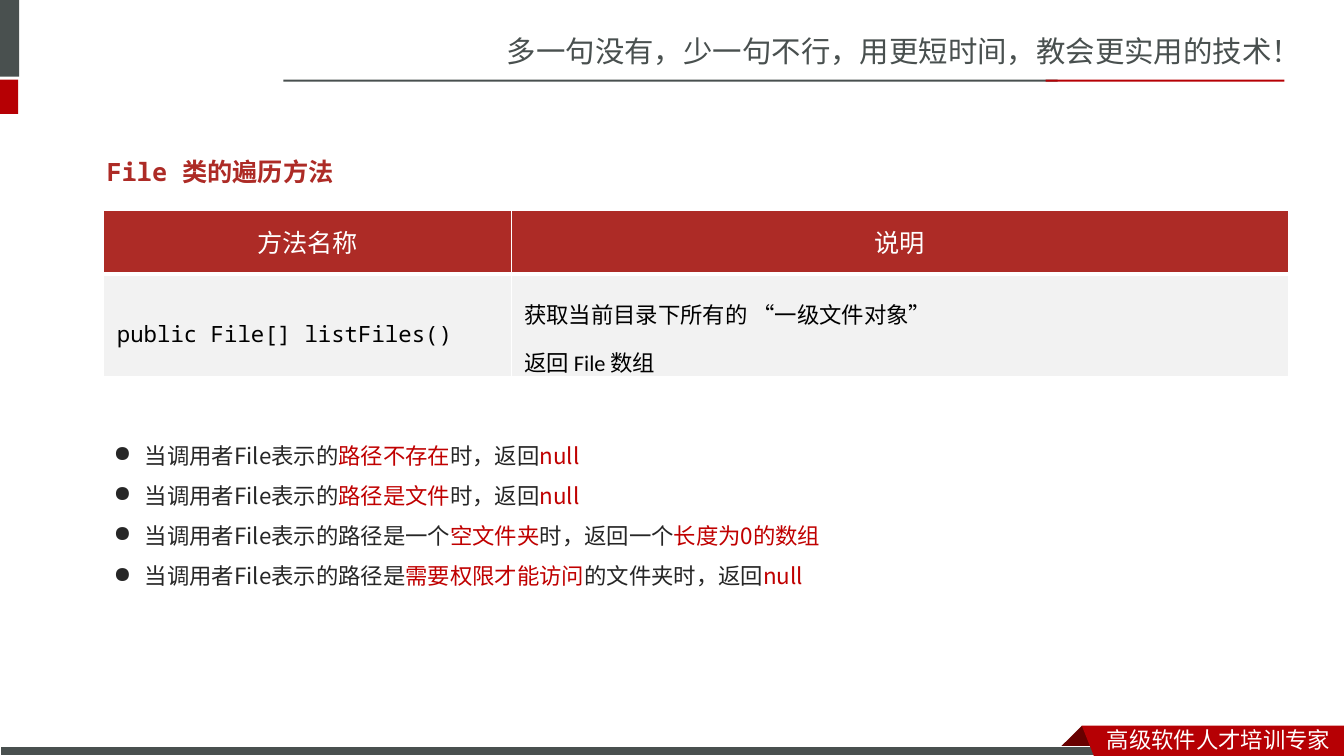
from lxml import etree
from pptx import Presentation
from pptx import util as u
from pptx.dml.color import RGBColor
from pptx.enum import shapes, text
from pptx.oxml import ns

COLORS = {"slate": "49504F", "red": "B60004", "fold": "680000", "brick": "AD2B26",
          "row": "F2F2F2", "white": "FFFFFF", "black": "000000",
          "body": "262626", "accent": "C00000"}
SANS = "Noto Sans CJK SC"
LIST_FONT = "Noto Sans CJK JP"
MONO = "Noto Sans Mono"


def color(name):
    return RGBColor.from_string(COLORS[name])


def set_attributes(target, values):
    for name, value in values.items():
        setattr(target, name, value)


def add_run(paragraph, words, size, fill, latin, east_asian=SANS, bold=False):
    run = paragraph.add_run()
    run.text = words
    set_attributes(run.font, {"size": u.Pt(size), "name": latin, "bold": bold})
    run.font.color.rgb = color(fill)
    properties = run.font._element
    etree.SubElement(properties, ns.qn("a:ea")).set("typeface", east_asian)


def add_text_frame(slide, box):
    frame = slide.shapes.add_textbox(*map(u.Inches, box)).text_frame
    frame.word_wrap = True
    return frame


def paint(shape, fill, outline=None):
    shape.shadow.inherit = False
    shape.fill.solid()
    shape.fill.fore_color.rgb = color(fill)
    if outline:
        shape.line.color.rgb = color(outline)
        shape.line.width = u.Pt(0.75)
    else:
        shape.line.fill.background()


def add_bar(slide, box, fill, outline=None):
    bar = slide.shapes.add_shape(shapes.MSO_SHAPE.RECTANGLE, *map(u.Inches, box))
    paint(bar, fill, outline)


def add_polygon(slide, points, fill):
    start, *others = [(u.Inches(x), u.Inches(y)) for x, y in points]
    builder = slide.shapes.build_freeform(*start)
    builder.add_line_segments(others, close=True)
    paint(builder.convert_to_shape(), fill)


def add_header(slide, left, top, width):
    """Slogan above a two-coloured rule, with the tabs at the slide's edge."""
    frame = add_text_frame(slide, (left + 2.12, top - 0.51, width - 1.53, 0.47))
    add_run(frame.paragraphs[0], "多一句没有，少一句不行，用更短时间，教会更实用的技术！",
            21, "slate", SANS)
    add_bar(slide, (0, 0, 0.19, 0.76), "slate")
    add_bar(slide, (0, top, 0.18, 0.34), "red")
    add_bar(slide, (left, top, 7.68, 0.02), "slate")
    add_bar(slide, (left + width - 2.37, top, 2.37, 0.02), "red")


def add_footer(slide, left, top, right, bottom):
    """Folded ribbon over the bar along the bottom edge."""
    add_polygon(slide, [(left, top), (left + 0.22, top + 0.22), (left + 0.21, top + 0.23),
                        (left - 0.21, top + 0.23), (left - 0.22, top + 0.22)], "fold")
    add_bar(slide, (0, top + 0.21, 10.99, bottom - top - 0.21), "slate", "white")
    add_polygon(slide, [(left, top), (right, top), (right, bottom), (left + 0.12, bottom)], "red")
    frame = add_text_frame(slide, (left + 0.15, top - 0.05, right - left - 0.15, 0.35))
    add_run(frame.paragraphs[0], "高级软件人才培训专家", 16, "white", SANS)


def add_heading(slide, box):
    paragraph = add_text_frame(slide, box).paragraphs[0]
    paragraph.line_spacing = 2.0
    add_run(paragraph, "File 类的遍历方法", 18, "brick", MONO, bold=True)


def add_cell_borders(cell, widths):
    """Give white borders, in points, in the order left, right, top, bottom."""
    properties = cell._tc.get_or_add_tcPr()
    for side, width in zip("LRTB", widths):
        border = etree.SubElement(properties, ns.qn(f"a:ln{side}"), w=str(u.Pt(width)))
        fill = etree.SubElement(border, ns.qn("a:solidFill"))
        etree.SubElement(fill, ns.qn("a:srgbClr"), val=COLORS["white"])


def add_method_table(slide, box):
    rows = [[["方法名称"], ["说明"]],
            [["public File[] listFiles()"],
             ["获取当前目录下所有的 “一级文件对象”", "返回 File 数组"]]]
    header = {"fill": "brick", "ink": "white", "size": 18, "spacing": u.Pt(24),
              "align": text.PP_ALIGN.CENTER, "margins": (0.1, 0.05),
              "borders": (1, 1, 1, 3), "fonts": ("Calibri", "Calibri")}
    body = {"fill": "row", "ink": "black", "size": 16, "spacing": 1.5,
            "align": text.PP_ALIGN.LEFT, "margins": (0.13, 0.07),
            "borders": (1, 1, 3, 3), "fonts": (MONO, "Calibri")}
    table = slide.shapes.add_table(2, 2, *map(u.Inches, box)).table
    for column, width in zip(table.columns, (4.04, 7.71)):
        column.width = u.Inches(width)
    for row, height, contents, style in zip(table.rows, (0.63, 1.03), rows, (header, body)):
        row.height = u.Inches(height)
        across, down = map(u.Inches, style["margins"])
        for cell, lines, font in zip(row.cells, contents, style["fonts"]):
            add_cell_borders(cell, style["borders"])
            cell.fill.solid()
            cell.fill.fore_color.rgb = color(style["fill"])
            set_attributes(cell, {"margin_left": across, "margin_right": across,
                                  "margin_top": down, "margin_bottom": down,
                                  "vertical_anchor": text.MSO_ANCHOR.MIDDLE})
            for index, line in enumerate(lines):
                frame = cell.text_frame
                paragraph = frame.add_paragraph() if index else frame.paragraphs[0]
                set_attributes(paragraph, {"alignment": style["align"],
                                           "line_spacing": style["spacing"]})
                add_run(paragraph, line, style["size"], style["ink"], font)


def add_return_rules(slide, box):
    """Bulleted list; words between asterisks are accented."""
    rules = ["当调用者File表示的*路径不存在*时，返回*null",
             "当调用者File表示的*路径是文件*时，返回*null",
             "当调用者File表示的路径是一个*空文件夹*时，返回一个*长度为0的数组",
             "当调用者File表示的路径是*需要权限才能访问*的文件夹时，返回*null"]
    frame = add_text_frame(slide, box)
    indent = u.Inches(0.31)
    for index, rule in enumerate(rules):
        paragraph = frame.add_paragraph() if index else frame.paragraphs[0]
        paragraph.line_spacing = 1.5
        properties = paragraph._p.get_or_add_pPr()
        properties.set("marL", str(indent))
        properties.set("indent", str(-indent))
        etree.SubElement(properties, ns.qn("a:buChar"), char="●")
        for position, words in enumerate(rule.split("*")):
            add_run(paragraph, words, 16, ("body", "accent")[position % 2],
                    LIST_FONT, LIST_FONT)


def main():
    presentation = Presentation()
    presentation.slide_width = u.Inches(13.33)
    presentation.slide_height = u.Inches(7.5)
    slide = presentation.slides.add_slide(presentation.slide_layouts[6])
    add_header(slide, 2.81, 0.79, 9.93)
    add_footer(slide, 10.73, 7.2, 13.33, 7.5)
    add_heading(slide, (0.96, 1.2, 5.12, 0.63))
    add_method_table(slide, (1.03, 2.09, 11.75, 1.66))
    add_return_rules(slide, (1.03, 4.2, 11.54, 1.68))
    presentation.save("out.pptx")


if __name__ == "__main__":
    main()
